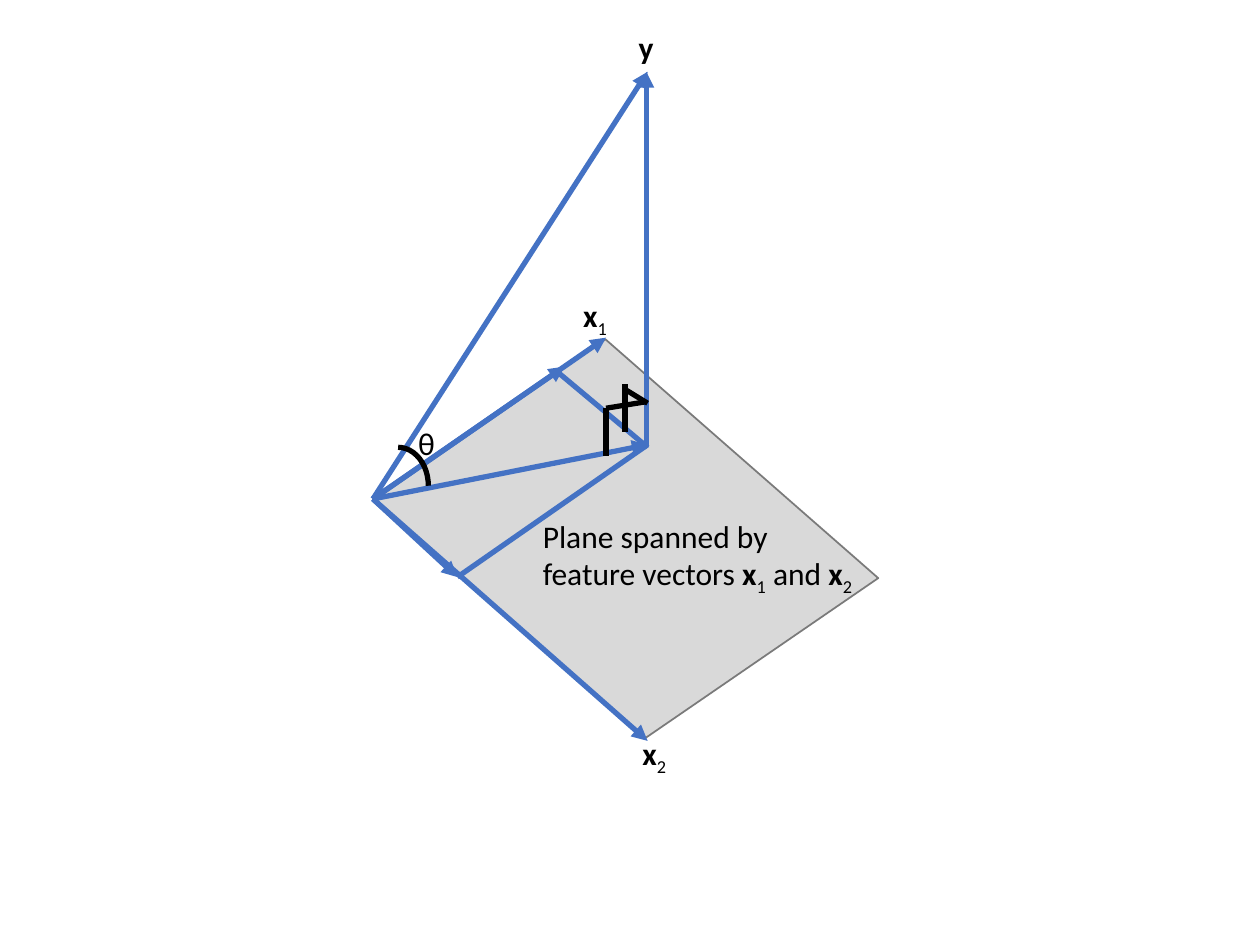
import pptx
import pptx.dml.color
import pptx.enum.shapes
import pptx.enum.text
import pptx.oxml
import pptx.oxml.ns
import pptx.util

COLOURS = {"plane": "D9D9D9", "edge": "7A7A7A", "vector": "4472C4", "ink": "000000"}
FONT = "Calibri"
COLUMNS, ROWS = 100, 75
CELL = pptx.util.Inches(0.1)

# Points of the diagram as (column, row)
ORIGIN = (29.6, 39.6)
X1, X2, Y = (48.1, 26.8), (51.4, 58.8), (51.4, 5.7)
PROJECTION = (51.4, 35.3)
ON_X1, ON_X2 = (44.8, 29.1), (36.3, 45.8)

VECTORS = [
    (ORIGIN, X1), (ORIGIN, X2), (ORIGIN, Y), (ORIGIN, PROJECTION),
    ((51.3, 35.4), (51.3, 5.7)),
    (ORIGIN, ON_X1), (ORIGIN, ON_X2),
]
PARALLELS = [(ON_X2, PROJECTION), ((44.1, 29.4), (51.4, 35.5))]
RIGHT_ANGLES = [
    ((48.1, 32.4), (51.2, 31.9)), ((48.1, 32.4), (48.1, 36.2)),
    ((49.6, 30.9), (51.4, 32)), ((49.6, 30.5), (49.6, 34.3)),
]

# Left, top, width, height, then runs of (text, style)
LABELS = [
    (42.1, 40.5, 27, 7.1, [("Plane spanned by feature vectors ", ""), ("x", "bold"), ("1", "sub"),
                           (" and ", ""), ("x", "bold"), ("2", "sub")]),
    (50, 57.8, 6.4, 4, [("x", "bold"), ("2", "sub")]),
    (45.3, 23, 6.4, 4, [("x", "bold"), ("1", "sub")]),
    (49.7, 1.7, 6.4, 4, [("y", "bold")]),
    (32.2, 33.2, 7.3, 4, [("θ", "")]),
]


def cells(*counts):
    return [round(n * CELL) for n in counts]


def rgb(name):
    return pptx.dml.color.RGBColor.from_string(COLOURS[name])


def style_line(line, colour, width):
    line.color.rgb = rgb(colour)
    line.width = pptx.util.Pt(width)


def add_plane(s):
    """Draw the parallelogram spanned by x1 and x2."""
    sp = s.shapes.add_shape(pptx.enum.shapes.MSO_SHAPE.PARALLELOGRAM,
                            *cells(32.5, 31.9, 34.3, 21.7))
    sp.adjustments[0] = 0.255
    sp.rotation = 41.2
    sp.shadow.inherit = False
    sp.fill.solid()
    sp.fill.fore_color.rgb = rgb("plane")
    style_line(sp.line, "edge", 1)


def add_angle_arc(s):
    sp = s.shapes.add_shape(pptx.enum.shapes.MSO_SHAPE.ARC, *cells(29.2, 35.5, 4.8, 6.1))
    sp.shadow.inherit = False
    sp.fill.background()
    style_line(sp.line, "ink", 3)


def add_line(s, start, end, colour, arrow=False):
    sp = s.shapes.add_connector(pptx.enum.shapes.MSO_CONNECTOR.STRAIGHT, *cells(*start, *end))
    style_line(sp.line, colour, 3)
    if arrow:
        ln = sp.line._get_or_add_ln()
        ln.append(pptx.oxml.parse_xml(
            f'<a:tailEnd {pptx.oxml.ns.nsdecls("a")} type="triangle"/>'))
    sp._element.spPr.append(pptx.oxml.parse_xml(
        f'<a:effectLst {pptx.oxml.ns.nsdecls("a")}/>'))


def add_label(s, left, top, width, height, runs):
    tf = s.shapes.add_textbox(*cells(left, top, width, height)).text_frame
    tf.word_wrap = True
    tf.auto_size = pptx.enum.text.MSO_AUTO_SIZE.SHAPE_TO_FIT_TEXT
    p = tf.paragraphs[0]
    for text, style in runs:
        r = p.add_run()
        r.text = text
        r.font.name = FONT
        r.font.size = pptx.util.Pt(18)
        r.font.bold = style == "bold"
        r.font.color.rgb = rgb("ink")
        if style == "sub":
            r._r.get_or_add_rPr().set("baseline", "-25000")


def main():
    prs = pptx.Presentation()
    prs.slide_width, prs.slide_height = cells(COLUMNS, ROWS)
    s = prs.slides.add_slide(prs.slide_layouts[6])
    add_plane(s)
    for start, end in VECTORS:
        add_line(s, start, end, "vector", arrow=True)
    for start, end in PARALLELS:
        add_line(s, start, end, "vector")
    add_angle_arc(s)
    for label in LABELS:
        add_label(s, *label)
    for start, end in RIGHT_ANGLES:
        add_line(s, start, end, "ink")
    prs.save("out.pptx")


if __name__ == "__main__":
    main()
